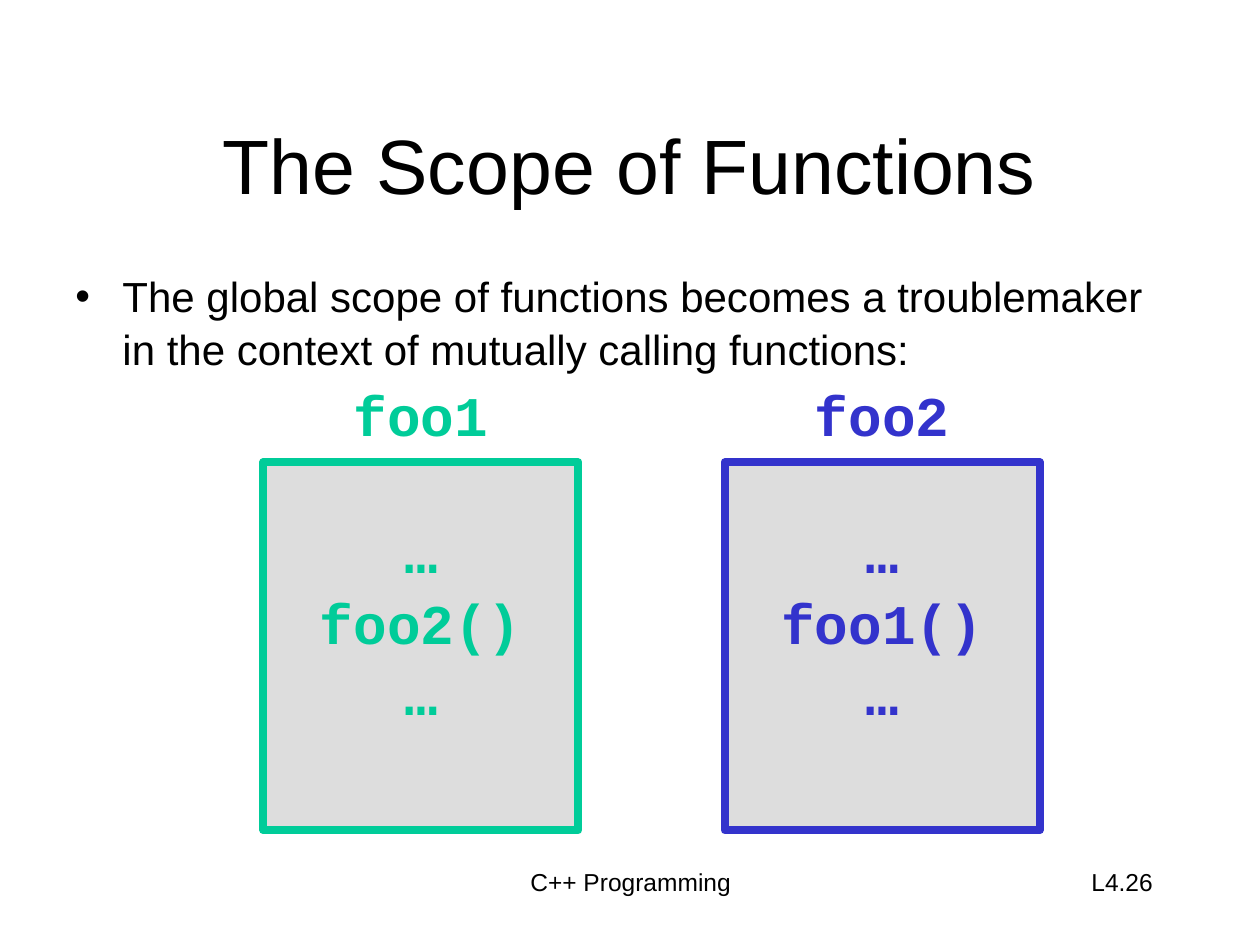
from dataclasses import dataclass

from lxml import etree
from pptx import Presentation
from pptx.dml.color import RGBColor
from pptx.enum.shapes import MSO_SHAPE
from pptx.enum.text import MSO_ANCHOR, PP_ALIGN
from pptx.oxml.ns import qn
from pptx.util import Cm, Pt

RECT = MSO_SHAPE.RECTANGLE
MIDDLE = MSO_ANCHOR.MIDDLE
LEFT, CENTER, RIGHT = PP_ALIGN.LEFT, PP_ALIGN.CENTER, PP_ALIGN.RIGHT
BLACK, GREY = "000000", "DDDDDD"
SPACING = 1.05


@dataclass
class Label:
    text: str
    left: float
    top: float
    width: float
    height: float
    size: int
    align: PP_ALIGN


@dataclass
class Func:
    name: str
    call: str
    color: str


LABELS = [
    Label("C++ Programming", 7.42, 17.35, 10.59, 1.27, 14, CENTER),
    Label("L4.26", 18.21, 17.35, 5.28, 1.27, 14, RIGHT),
]
BODY = Label(
    "The global scope of functions becomes a troublemaker "
    "in the context of mutually calling functions:",
    1.27, 5.28, 22.66, 11.43, 24, LEFT,
)
FUNCS = [
    Func("foo1", "foo2()", "00CC99"),
    Func("foo2", "foo1()", "3333CC"),
]


def paint(color: str) -> RGBColor:
    return RGBColor.from_string(color)


def style(frame, size: int, align: PP_ALIGN, color: str = BLACK,
          face: str = "Arial", bold: bool = False) -> None:
    for para in frame.paragraphs:
        para.alignment = align
        for run in para.runs:
            run.font.name = face
            run.font.size = Pt(size)
            run.font.bold = bold
            run.font.color.rgb = paint(color)


def place(shape, left: float, top: float, width: float, height: float) -> None:
    shape.left, shape.top = Cm(left), Cm(top)
    shape.width, shape.height = Cm(width), Cm(height)


def add_label(slide, label: Label):
    box = slide.shapes.add_textbox(0, 0, 0, 0)
    place(box, label.left, label.top, label.width, label.height)
    frame = box.text_frame
    frame.word_wrap = True
    frame.text = label.text
    style(frame, label.size, label.align)
    return frame


def add_bullet(para) -> None:
    para.line_spacing = SPACING
    props = para._p.get_or_add_pPr()
    props.set("marL", str(Cm(0.95)))
    props.set("indent", str(Cm(-0.95)))
    etree.SubElement(props, qn("a:buFont")).set("typeface", "Arial")
    etree.SubElement(props, qn("a:buChar")).set("char", "•")


def add_func(slide, func: Func, left: float) -> None:
    box = slide.shapes.add_shape(RECT, 0, 0, 0, 0)
    place(box, left, 9.32, 6.35, 7.42)
    box.shadow.inherit = False
    box.fill.solid()
    box.fill.fore_color.rgb = paint(GREY)
    box.line.color.rgb = paint(func.color)
    box.line.width = Pt(4.5)
    frame = box.text_frame
    frame.word_wrap = False
    frame.vertical_anchor = MIDDLE
    frame.margin_bottom = Cm(3.93)
    frame.text = "\n".join([func.name, "…", func.call, "…"])
    style(frame, 32, CENTER, func.color, "Courier New", True)
    for para in frame.paragraphs:
        para.line_spacing = SPACING
    frame.paragraphs[1].space_before = Pt(38)


def main() -> None:
    deck = Presentation()
    deck.slide_width, deck.slide_height = Cm(25.4), Cm(19.05)
    slide = deck.slides.add_slide(deck.slide_layouts[5])
    title = slide.shapes.title
    place(title, 1.9, 1.7, 21.59, 3.18)
    title.text_frame.text = "The Scope of Functions"
    title.text_frame.vertical_anchor = MIDDLE
    style(title.text_frame, 44, CENTER)
    add_bullet(add_label(slide, BODY).paragraphs[0])
    for label in LABELS:
        add_label(slide, label)
    for col, func in enumerate(FUNCS):
        add_func(slide, func, 5.31 + col * 9.3)
    deck.save("out.pptx")


if __name__ == "__main__":
    main()
